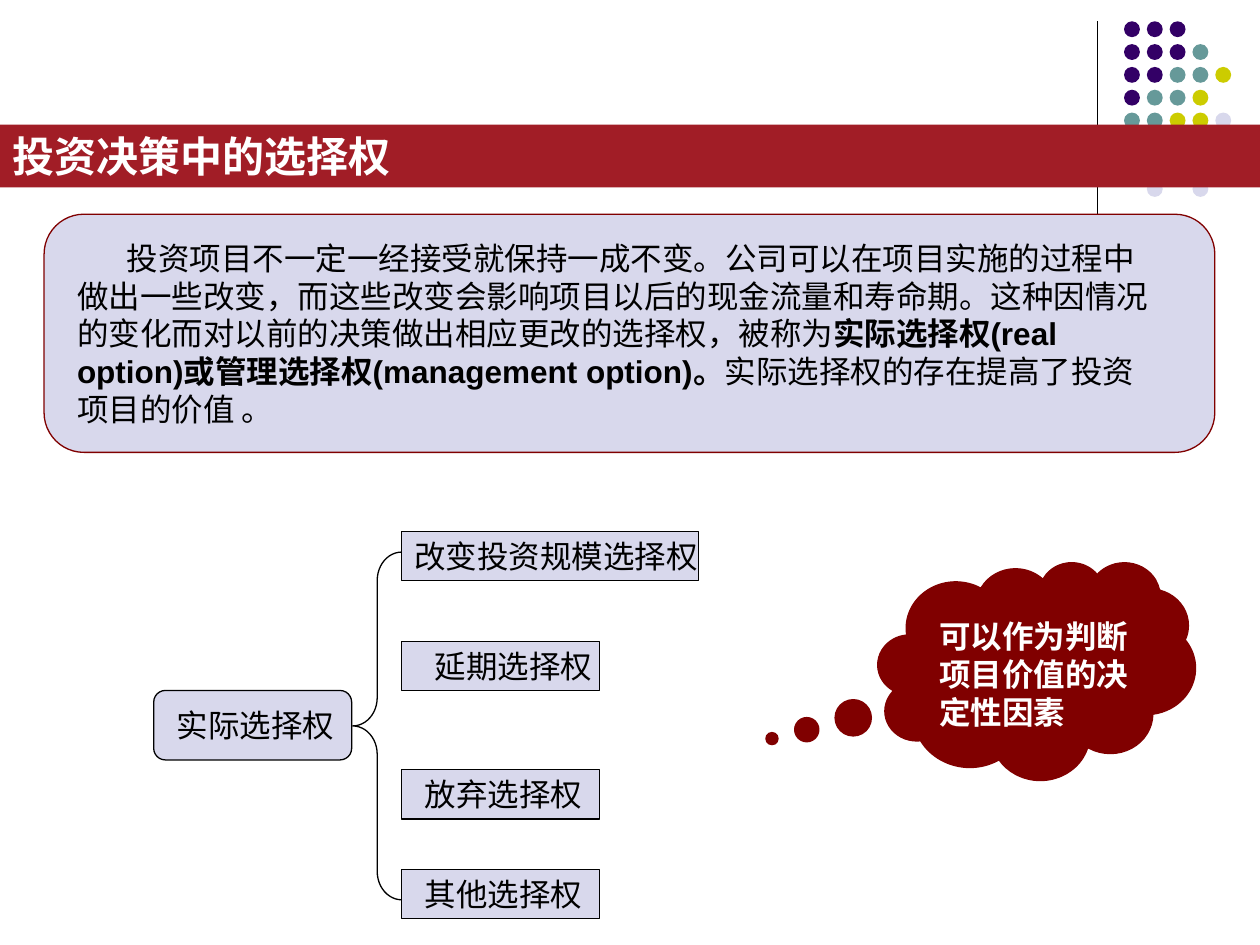
from dataclasses import dataclass

import pptx
import pptx.dml.color
import pptx.enum.shapes
import pptx.enum.text
import pptx.oxml
import pptx.oxml.ns
import pptx.util

Cm = pptx.util.Cm
Shape = pptx.enum.shapes.MSO_SHAPE
Align = pptx.enum.text.PP_ALIGN


@dataclass(frozen=True)
class Theme:
    font: str = "Arial"
    title_size: int = 24
    body_size: int = 18
    line_width: float = 0.75
    black: str = "000000"
    white: str = "FFFFFF"
    bar: str = "A11D26"
    maroon: str = "800000"
    lavender: str = "D8D8EC"
    purple: str = "330066"
    teal: str = "669999"
    olive: str = "CCCC00"


@dataclass(frozen=True)
class Box:
    left: float
    top: float
    width: float
    height: float

    def emu(self) -> tuple:
        return tuple(Cm(v) for v in (self.left, self.top, self.width, self.height))


@dataclass(frozen=True)
class Option:
    label: str
    top: float
    width: float
    indent: float


THEME = Theme()

DOT_ROWS = ["PPP", "PPPT", "PPTTO", "PTTO", "TTOOL", "", "", " L L"]
DOT_COLORS = {"P": THEME.purple, "T": THEME.teal, "O": THEME.olive, "L": THEME.lavender}
DOT_LEFT, DOT_TOP, DOT_PITCH, DOT_SIZE = 22.66, 0.43, 0.46, 0.32

OPTION_LEFT, OPTION_HEIGHT = 8.1, 0.99
OPTIONS = [
    Option("改变投资规模选择权", 10.72, 5.99, 0.25),
    Option("延期选择权", 12.93, 3.99, 0.66),
    Option("放弃选择权", 15.52, 3.99, 0.46),
    Option("其他选择权", 17.53, 3.99, 0.46),
]

# Running text as (words, bold)
DEFINITION = [
    ("投资项目不一定一经接受就保持一成不变。公司可以在项目实施的过程中做出一些改变，"
     "而这些改变会影响项目以后的现金流量和寿命期。这种因情况的变化而对以前的决策"
     "做出相应更改的选择权，被称为", False),
    ("实际选择权(real option)或管理选择权(management option)。", True),
    ("实际选择权的存在提高了投资项目的价值 。", False),
]


def rgb(color: str) -> pptx.dml.color.RGBColor:
    return pptx.dml.color.RGBColor.from_string(color)


def add_figure(slide, kind, box: Box, fill: str = "", line: str = "", adjustments=()):
    figure = slide.shapes.add_shape(kind, *box.emu())
    figure.shadow.inherit = False
    for index, value in enumerate(adjustments):
        figure.adjustments[index] = value
    if fill:
        figure.fill.solid()
        figure.fill.fore_color.rgb = rgb(fill)
    else:
        figure.fill.background()
    if line:
        figure.line.color.rgb = rgb(line)
        figure.line.width = pptx.util.Pt(THEME.line_width)
    else:
        figure.line.fill.background()
    return figure


def set_insets(frame, left: float, right: float, vertical: float = 0) -> None:
    frame.word_wrap = True
    frame.auto_size = pptx.enum.text.MSO_AUTO_SIZE.NONE
    frame.vertical_anchor = pptx.enum.text.MSO_ANCHOR.MIDDLE
    frame.margin_left, frame.margin_right = Cm(left), Cm(right)
    frame.margin_top = frame.margin_bottom = Cm(vertical)


def format_run(run, color: str, size: int, bold: bool = False) -> None:
    run.font.name = THEME.font
    run.font.size = pptx.util.Pt(size)
    run.font.bold = bold
    run.font.color.rgb = rgb(color)


def write_line(frame, words: str, color: str = THEME.black, size: int = THEME.body_size,
               bold: bool = False, align=Align.LEFT) -> None:
    frame.text = words
    line = frame.paragraphs[0]
    line.alignment = align
    format_run(line.runs[0], color, size, bold)


def add_label(slide, kind, box: Box, words: str, indent: float, adjustments=()) -> None:
    label = add_figure(slide, kind, box, THEME.lavender, THEME.black, adjustments)
    set_insets(label.text_frame, indent, 0)
    write_line(label.text_frame, words)


def add_corner_ornament(slide) -> None:
    rule = slide.shapes.add_connector(
        pptx.enum.shapes.MSO_CONNECTOR.STRAIGHT, Cm(22.12), Cm(0.43), Cm(22.12), Cm(4.65))
    rule.line.color.rgb = rgb(THEME.black)
    rule.line.width = pptx.util.Pt(THEME.line_width)
    rule.element.spPr.append(pptx.oxml.parse_xml(
        f"<a:effectLst {pptx.oxml.ns.nsdecls('a')}/>"))
    for row, codes in enumerate(DOT_ROWS):
        for column, code in enumerate(codes):
            if code in DOT_COLORS:
                dot = Box(DOT_LEFT + column * DOT_PITCH, DOT_TOP + row * DOT_PITCH,
                          DOT_SIZE, DOT_SIZE)
                add_figure(slide, Shape.OVAL, dot, DOT_COLORS[code])


def add_title_bar(slide) -> None:
    title = slide.shapes.title
    title.left, title.top, title.width, title.height = Box(0, 2.51, 25.4, 1.27).emu()
    title.fill.solid()
    title.fill.fore_color.rgb = rgb(THEME.bar)
    set_insets(title.text_frame, 0.25, 0.25, 0.13)
    write_line(title.text_frame, "投资决策中的选择权", THEME.white, THEME.title_size,
               True, Align.JUSTIFY)
    # The bar lies over the corner dots
    slide.shapes.element.append(title.element)


def add_definition(slide) -> None:
    panel = add_figure(slide, Shape.ROUNDED_RECTANGLE, Box(0.89, 4.32, 23.6, 4.8),
                       THEME.lavender, THEME.maroon, [0.167])
    set_insets(panel.text_frame, 0.43, 0.81)
    paragraph = panel.text_frame.paragraphs[0]
    paragraph.alignment = Align.LEFT
    # First-line indent
    paragraph._p.get_or_add_pPr().set("indent", str(Cm(1)))
    for words, bold in DEFINITION:
        run = paragraph.add_run()
        run.text = words
        format_run(run, THEME.black, THEME.body_size, bold)


def add_option_tree(slide) -> None:
    add_figure(slide, Shape.LEFT_BRACE, Box(7.11, 11.13, 0.99, 7.01),
               line=THEME.black, adjustments=[0.578, 0.5])
    add_label(slide, Shape.ROUNDED_RECTANGLE, Box(3.1, 13.92, 3.99, 1.4),
              "实际选择权", 0.4, [0.167])
    for option in OPTIONS:
        box = Box(OPTION_LEFT, option.top, option.width, OPTION_HEIGHT)
        add_label(slide, Shape.RECTANGLE, box, option.label, option.indent)


def add_thought(slide) -> None:
    add_figure(slide, Shape.CLOUD_CALLOUT, Box(17.7, 11.33, 6.4, 4.39),
               THEME.maroon, THEME.maroon, [-0.834, 0.311])
    thought = slide.shapes.add_textbox(*Box(18.69, 12.32, 4.6, 2.54).emu())
    set_insets(thought.text_frame, 0.25, 0.25, 0.13)
    write_line(thought.text_frame, "可以作为判断项目价值的决定性因素", THEME.white, bold=True)


def main() -> None:
    deck = pptx.Presentation()
    deck.slide_width, deck.slide_height = Cm(25.4), Cm(19.05)
    slide = deck.slides.add_slide(deck.slide_layouts.get_by_name("Title Only"))
    add_corner_ornament(slide)
    add_title_bar(slide)
    add_definition(slide)
    add_option_tree(slide)
    add_thought(slide)
    deck.save("out.pptx")


if __name__ == "__main__":
    main()
